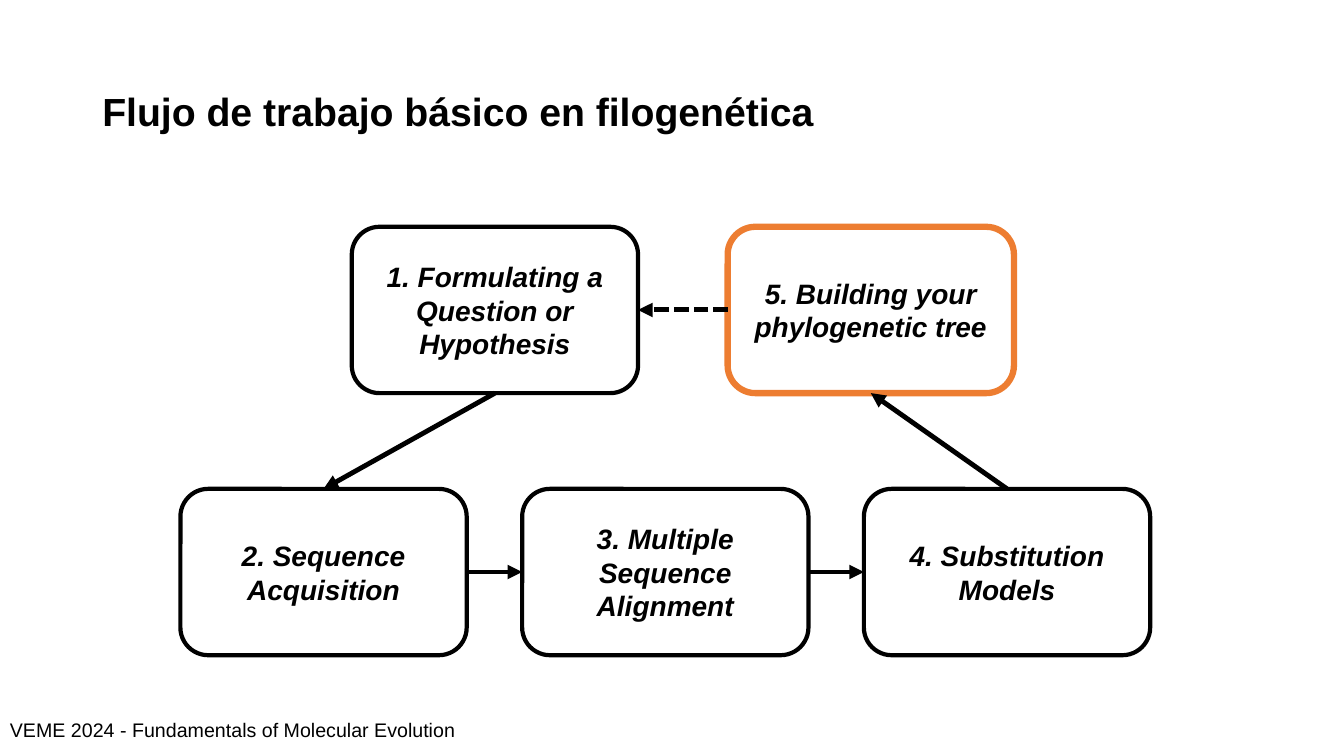
import pptx
import pptx.util
import pptx.dml.color
import pptx.enum.dml
import pptx.enum.shapes
import pptx.enum.text
import pptx.oxml

Pt = pptx.util.Pt
RGB = pptx.dml.color.RGBColor.from_string
MSO_SHAPE = pptx.enum.shapes.MSO_SHAPE
ANCHOR = pptx.enum.text.MSO_ANCHOR
ALIGN = pptx.enum.text.PP_ALIGN
NS = 'xmlns:a="http://schemas.openxmlformats.org/drawingml/2006/main"'

COLORS = {"ink": "000000", "paper": "FFFFFF", "accent": "ED7D31"}
TOP, LEFT, BOTTOM, RIGHT = range(4)  # connection sites of a rounded rectangle


def write(sp, text, anchor, align, wrap=True, **font):
    tf = sp.text_frame
    tf.word_wrap = wrap
    tf.vertical_anchor = anchor
    p = tf.paragraphs[0]
    p.alignment = align
    r = p.add_run()
    r.text = text
    r.font.color.rgb = RGB(COLORS["ink"])
    for name, value in {"name": "Arial", **font}.items():
        setattr(r.font, name, value)
    return p


prs = pptx.Presentation()
prs.slide_width, prs.slide_height = Pt(960), Pt(540)
s = prs.slides.add_slide(prs.slide_layouts[6])

# Title and footer
title = s.shapes.add_textbox(Pt(66), Pt(28.8), Pt(828), Pt(104.4))
p = write(title, "Flujo de trabajo básico en filogenética",
          ANCHOR.MIDDLE, ALIGN.LEFT, size=Pt(28), bold=True)
p.line_spacing = 0.9
footer = s.shapes.add_textbox(Pt(0), Pt(509), Pt(334), Pt(24.5))
write(footer, "VEME 2024 - Fundamentals of Molecular Evolution",
      ANCHOR.TOP, ALIGN.LEFT, wrap=False, size=Pt(14))

# Workflow steps
UPPER, LOWER = 162, 349.2
FIRST, PITCH = 128.9, 244.1
steps = [
    ("1. Formulating a Question or Hypothesis", 251.3, UPPER, "ink", 3),
    ("2. Sequence Acquisition", FIRST, LOWER, "ink", 3),
    ("3. Multiple Sequence Alignment", FIRST + PITCH, LOWER, "ink", 3),
    ("4. Substitution Models", FIRST + 2 * PITCH, LOWER, "ink", 3),
    ("5. Building your phylogenetic tree", 519.8, UPPER, "accent", 4.5),
]
boxes = []
for text, x, y, color, weight in steps:
    sp = s.shapes.add_shape(MSO_SHAPE.ROUNDED_RECTANGLE,
                            Pt(x), Pt(y), Pt(204.5), Pt(118.8))
    sp.shadow.inherit = False
    sp.fill.solid()
    sp.fill.fore_color.rgb = RGB(COLORS["paper"])
    sp.line.color.rgb = RGB(COLORS[color])
    sp.line.width = Pt(weight)
    write(sp, text, ANCHOR.MIDDLE, ALIGN.CENTER, size=Pt(20), bold=True, italic=True)
    boxes.append(sp)

# Arrows from each step to the next, and back to the first
sites = [(BOTTOM, TOP), (RIGHT, LEFT), (RIGHT, LEFT), (TOP, BOTTOM), (LEFT, RIGHT)]
for i, (start, end) in enumerate(sites):
    arrow = s.shapes.add_connector(pptx.enum.shapes.MSO_CONNECTOR.STRAIGHT, 0, 0, 0, 0)
    arrow.begin_connect(boxes[i], start)
    arrow.end_connect(boxes[(i + 1) % len(boxes)], end)
    arrow.line.color.rgb = RGB(COLORS["ink"])
    arrow.line.width = Pt(3.5)
    if i == len(sites) - 1:
        arrow.line.dash_style = pptx.enum.dml.MSO_LINE.SQUARE_DOT
    ln = arrow.line._get_or_add_ln()
    ln.append(pptx.oxml.parse_xml(f'<a:tailEnd {NS} type="triangle"/>'))
    ln.addnext(pptx.oxml.parse_xml(f"<a:effectLst {NS}/>"))

prs.save("out.pptx")
